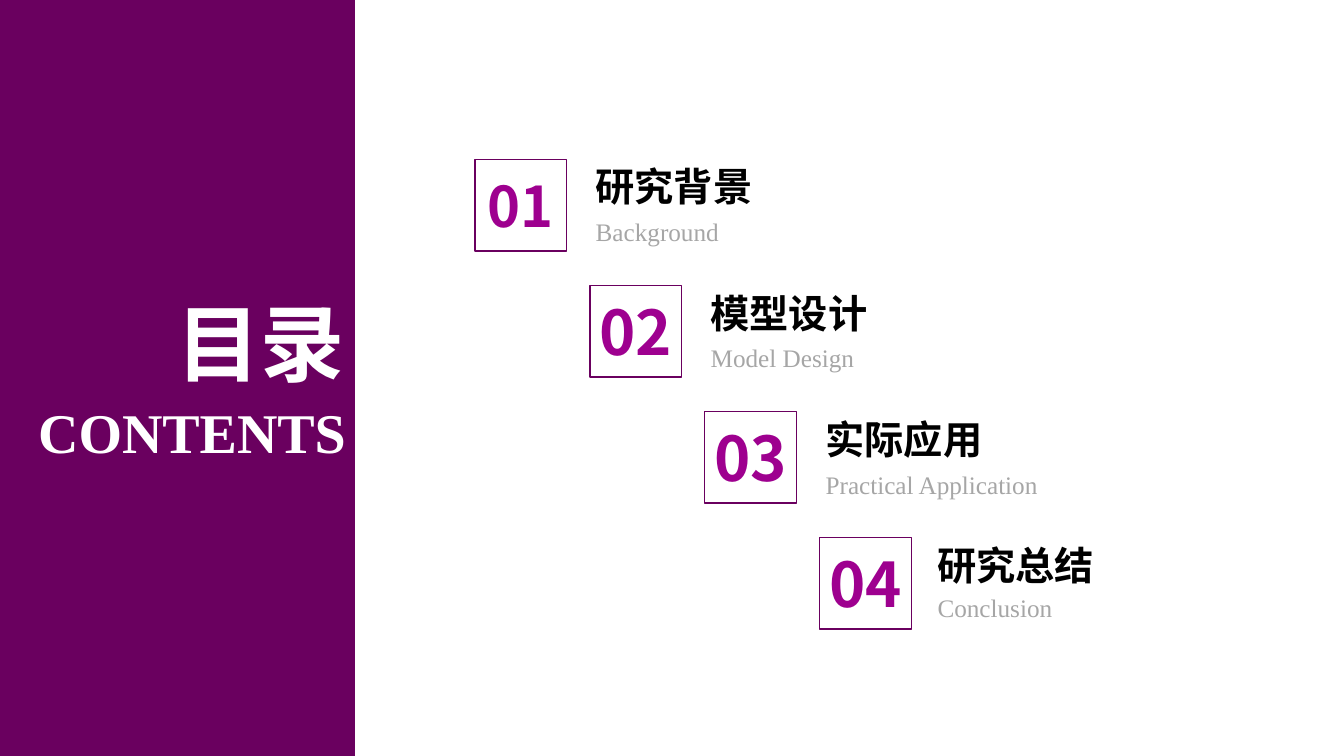
"""Build a contents slide with four numbered sections in a staircase."""
from pptx import Presentation
from pptx import util as u
from pptx.dml.color import RGBColor
from pptx.enum import shapes, text
from pptx.oxml.ns import qn
from lxml import etree

COLORS = {"panel": "6A005F", "number": "9E008F", "white": "FFFFFF",
          "title": "000000", "subtitle": "A6A6A6"}
SANS, SERIF = "Noto Sans CJK SC", "Times New Roman"

HEADINGS = [
    ("目录", (0.98, 2.84, 2.54, 1.11), 60, SANS),
    ("CONTENTS", (0, 3.89, 3.53, 0.77), 40, SERIF),
]
SECTIONS = [
    {"title": "研究背景", "subtitle": "Background", "size": 40, "frame": (0.91, 0.77),
     "offset": (1.1, -0.02), "gap": 0.54},
    {"title": "模型设计", "subtitle": "Model Design", "size": 44, "frame": (0.98, 0.84),
     "offset": (1.1, -0.01), "gap": 0.53},
    {"title": "实际应用", "subtitle": "Practical Application", "size": 44,
     "frame": (0.98, 0.84), "offset": (1.1, -0.01), "gap": 0.54},
    {"title": "研究总结", "subtitle": "Conclusion", "size": 44, "frame": (0.98, 0.84),
     "offset": (1.07, -0.01), "gap": 0.51},
]
LEFT, TOP = 4.71, 1.58
STEP_X, STEP_Y = 1.14, 1.25
BOX = 0.91
TEXT_W, TITLE_H, SUBTITLE_H = 2.62, 0.57, 0.4


def rgb(name):
    return RGBColor.from_string(COLORS[name])


def add_rect(slide, at, fill=None, line=None):
    sp = slide.shapes.add_shape(shapes.MSO_SHAPE.RECTANGLE, *map(u.Inches, at))
    sp.shadow.inherit = False
    if fill:
        sp.fill.solid()
        sp.fill.fore_color.rgb = rgb(fill)
    else:
        sp.fill.background()
    if line:
        sp.line.color.rgb = rgb(line)
        sp.line.width = u.Pt(1)
    else:
        sp.line.fill.background()


def add_text(slide, words, at, size, font=SANS, color="title", bold=True,
             align=text.PP_ALIGN.LEFT):
    tf = slide.shapes.add_textbox(*map(u.Inches, at)).text_frame
    tf.word_wrap = True
    tf.auto_size = text.MSO_AUTO_SIZE.SHAPE_TO_FIT_TEXT
    p = tf.paragraphs[0]
    p.alignment = align
    r = p.add_run()
    r.text = words
    r.font.size = u.Pt(size)
    r.font.bold = bold
    r.font.color.rgb = rgb(color)
    r.font.name = font
    etree.SubElement(r.font._element, qn("a:ea")).set("typeface", font)


def add_section(slide, index, section):
    x, y = LEFT + index * STEP_X, TOP + index * STEP_Y
    w, h = section["frame"]
    add_text(slide, f"{index + 1:02d}", (x + (BOX - w) / 2, y + (BOX - h) / 2, w, h),
             section["size"], color="number", align=text.PP_ALIGN.CENTER)
    add_rect(slide, (x, y, BOX, BOX), line="panel")
    dx, dy = section["offset"]
    add_text(slide, section["title"], (x + dx, y + dy, TEXT_W, TITLE_H), 28)
    add_text(slide, section["subtitle"],
             (x + dx, y + dy + section["gap"], TEXT_W, SUBTITLE_H), 18,
             font=SERIF, color="subtitle", bold=False)


def main():
    prs = Presentation()
    prs.slide_width, prs.slide_height = u.Inches(13.33), u.Inches(7.5)
    slide = prs.slides.add_slide(prs.slide_layouts[6])
    add_rect(slide, (0, 0, 3.52, 7.5), fill="panel")
    for words, at, size, font in HEADINGS:
        add_text(slide, words, at, size, font=font, color="white",
                 align=text.PP_ALIGN.RIGHT)
    for index, section in enumerate(SECTIONS):
        add_section(slide, index, section)
    prs.save("out.pptx")


if __name__ == "__main__":
    main()
